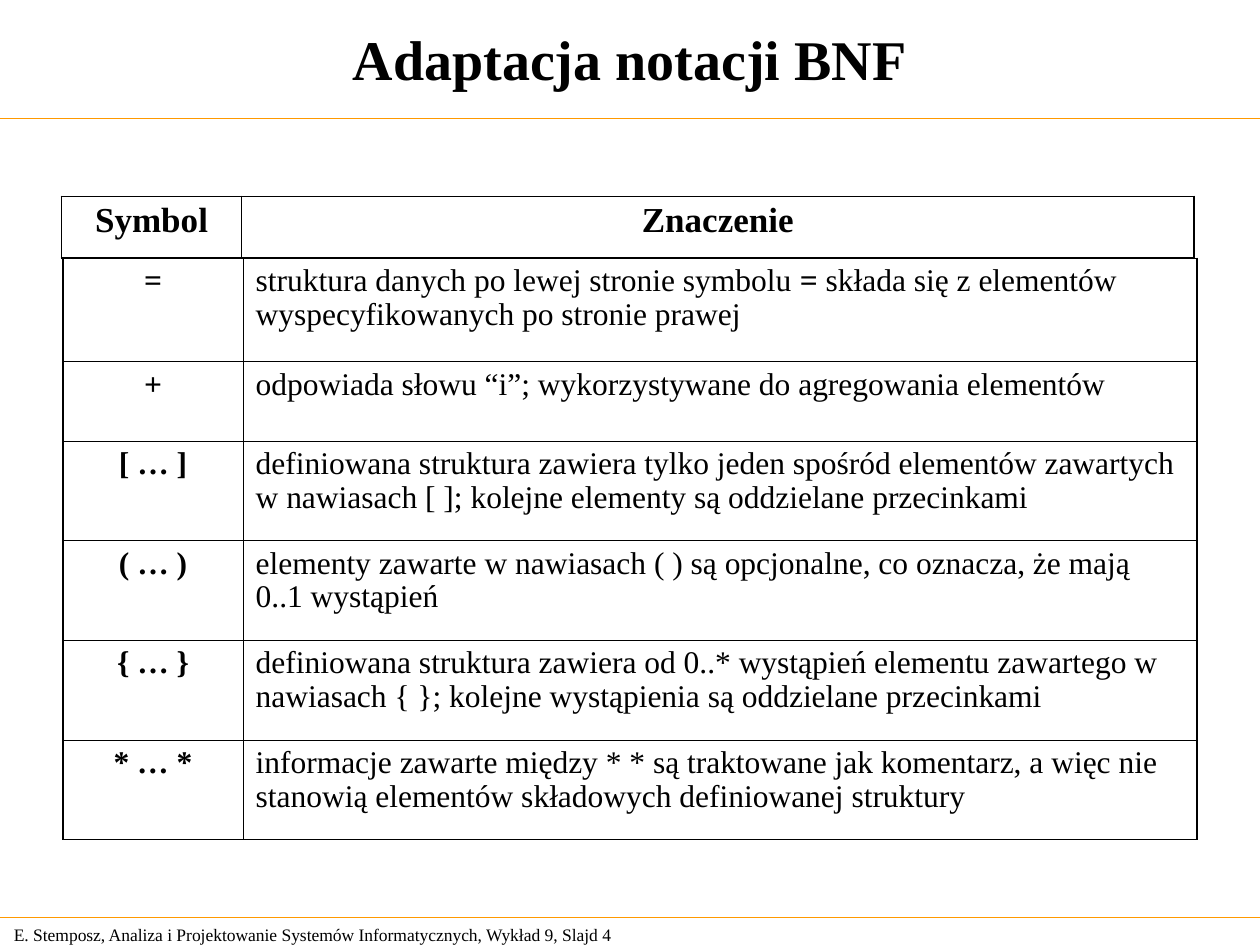
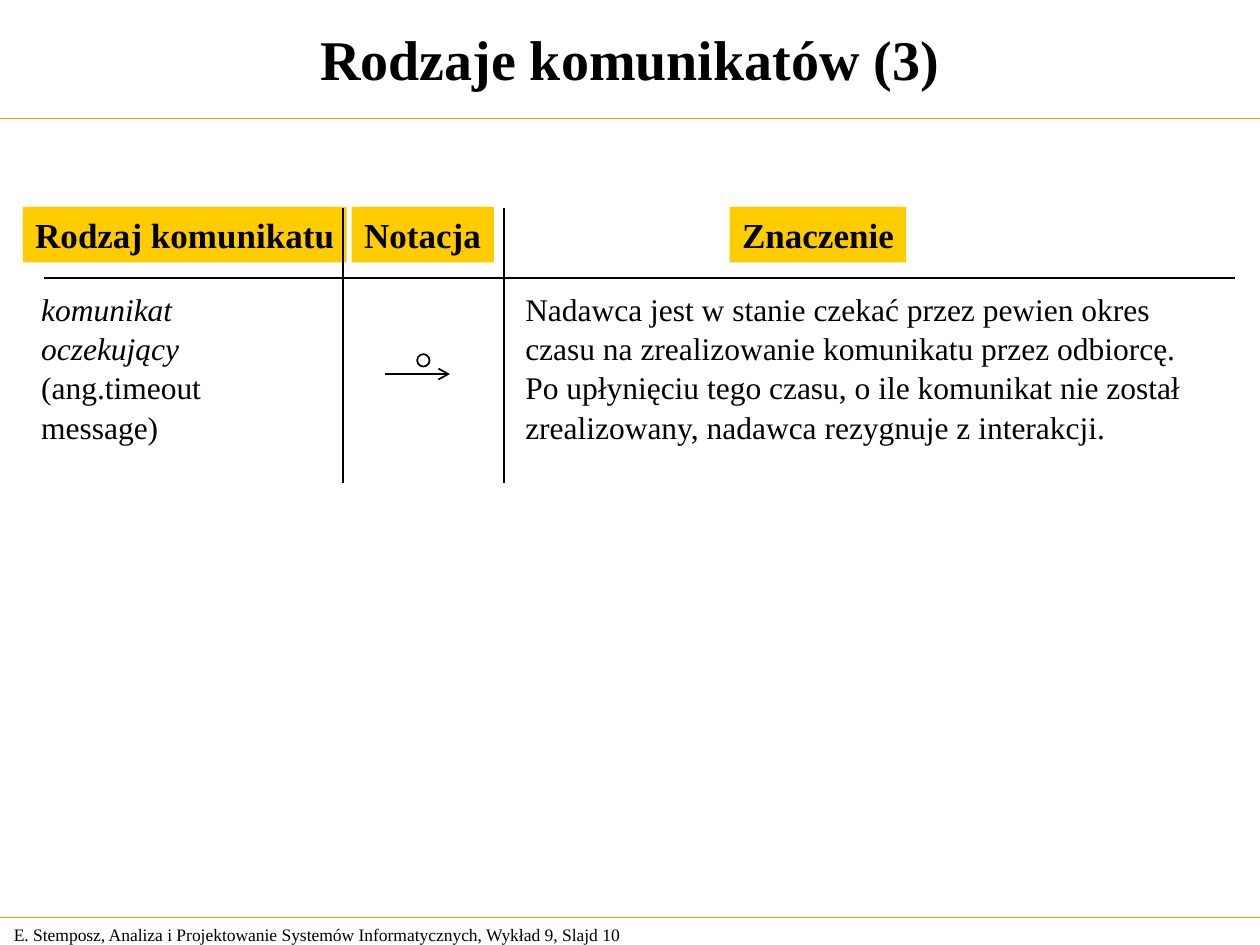
from dataclasses import dataclass

from lxml import etree
from pptx import Presentation
from pptx.dml.color import RGBColor
from pptx.enum.shapes import MSO_CONNECTOR, MSO_SHAPE
from pptx.enum.text import MSO_ANCHOR, PP_ALIGN
from pptx.oxml.ns import qn
from pptx.util import Cm, Pt

LINE = MSO_CONNECTOR.STRAIGHT
RECTANGLE = MSO_SHAPE.RECTANGLE
OVAL = MSO_SHAPE.OVAL
MIDDLE = MSO_ANCHOR.MIDDLE
TOP = MSO_ANCHOR.TOP
LEFT = PP_ALIGN.LEFT
CENTER = PP_ALIGN.CENTER


@dataclass(frozen=True)
class Theme:
    font: str = "Times New Roman"
    ink: RGBColor = RGBColor(0x00, 0x00, 0x00)
    paper: RGBColor = RGBColor(0xFF, 0xFF, 0xFF)
    band: RGBColor = RGBColor(0xFF, 0x99, 0x00)
    label: RGBColor = RGBColor(0xFF, 0xCC, 0x00)
    title: int = 32
    heading: int = 20
    body: int = 18
    footer: int = 10
    band_width: float = 0.75
    rule_width: float = 1
    frame_width: float = 1.08
    grid_width: float = 0.45
    table_spacing: float = 0.97
    body_spacing: float = 1.04


@dataclass(frozen=True)
class Box:
    left: float
    top: float
    width: float
    height: float

    def inner(self, left, top, width, height):
        return Box(self.left + left, self.top + top, width, height)

    def lengths(self):
        return [Cm(value) for value in (self.left, self.top, self.width, self.height)]


THEME = Theme()
PAGE = Box(0, 0, 25.4, 19.05)
FOOTER = "E. Stemposz, Analiza i Projektowanie Systemów Informatycznych, Wykład 9, Slajd {}"
BOLD = {"bold": True}
ITALIC = {"italic": True}
PLAIN = {}

NOTATION_HEADER = [("Symbol", [("Znaczenie", BOLD)])]
NOTATION = [
    ("=", [
        ("struktura danych po lewej stronie symbolu ", PLAIN),
        ("=", BOLD),
        (" składa się z elementów wyspecyfikowanych po stronie prawej", PLAIN),
    ]),
    ("+", [("odpowiada słowu “i”; wykorzystywane do agregowania elementów", PLAIN)]),
    ("[ … ]", [("definiowana struktura zawiera tylko jeden spośród elementów zawartych "
                "w nawiasach [ ]; kolejne elementy są oddzielane przecinkami", PLAIN)]),
    ("( … )", [("elementy zawarte w nawiasach ( ) są opcjonalne, co oznacza, że mają "
                "0..1 wystąpień", PLAIN)]),
    ("{ … }", [("definiowana struktura zawiera od 0..* wystąpień elementu zawartego w "
                "nawiasach { }; kolejne wystąpienia są oddzielane przecinkami", PLAIN)]),
    ("* … *", [("informacje zawarte między * * są traktowane jak komentarz, a więc nie "
                "stanowią elementów składowych definiowanej struktury", PLAIN)]),
]
MESSAGE_KIND = [
    [("komunikat", ITALIC)],
    [("oczekujący", ITALIC)],
    [("(ang.timeout", PLAIN)],
    [("message)", PLAIN)],
]
MESSAGE_MEANING = [[(
    "Nadawca jest w stanie czekać przez pewien okres czasu na zrealizowanie komunikatu "
    "przez odbiorcę. Po upłynięciu tego czasu, o ile komunikat nie został zrealizowany, "
    "nadawca rezygnuje z interakcji.", PLAIN)]]


def apply(target, values):
    for name, value in values.items():
        setattr(target, name, value)


def write(frame, paragraphs, size, align=LEFT, spacing=None):
    for index, runs in enumerate(paragraphs):
        paragraph = frame.add_paragraph() if index else frame.paragraphs[0]
        apply(paragraph, {"alignment": align, "line_spacing": spacing})
        for text, emphasis in runs:
            run = paragraph.add_run()
            run.text = text
            apply(run.font, {"name": THEME.font, "size": Pt(size), "bold": False, **emphasis})
            run.font.color.rgb = THEME.ink


def add_text(slide, box, paragraphs, size, align=LEFT, anchor=TOP, spacing=None):
    frame = slide.shapes.add_textbox(*box.lengths()).text_frame
    apply(frame, {"word_wrap": True, "vertical_anchor": anchor})
    write(frame, paragraphs, size, align, spacing)


def add_rule(shapes, box, color=THEME.ink, width=THEME.rule_width):
    left, top, across, down = box.lengths()
    rule = shapes.add_connector(LINE, left, top, left + across, top + down)
    rule.line.width = Pt(width)
    rule.line.color.rgb = color
    etree.SubElement(rule._element.spPr, qn("a:effectLst"))
    return rule


def add_frame(slide, box, title, number):
    for top in (2.39, 18.49):
        add_rule(slide.shapes, box.inner(0, top, box.width, 0), THEME.band, THEME.band_width)
    add_text(slide, box.inner(0, 0, box.width, 2.34), [[(title, BOLD)]],
             THEME.title, CENTER, MIDDLE)
    add_text(slide, box.inner(0.03, 18.49, 13.31, 0.69), [[(FOOTER.format(number), PLAIN)]],
             THEME.footer, anchor=MIDDLE)


def set_borders(cell, outer_sides):
    properties = cell._tc.get_or_add_tcPr()
    for index, (side, outer) in enumerate(outer_sides.items()):
        width = Pt(THEME.frame_width if outer else THEME.grid_width)
        border = etree.Element(qn(f"a:{side}"), w=str(width))
        fill = etree.SubElement(border, qn("a:solidFill"))
        etree.SubElement(fill, qn("a:srgbClr"), val=str(THEME.ink))
        properties.insert(index, border)


def add_notation_table(slide, box, rows, heights, size, meaning_align):
    table = slide.shapes.add_table(len(rows), 2, *box.lengths()).table
    apply(table, {"first_row": False, "horz_banding": False})
    symbol_width = 3.63
    for column, width in zip(table.columns, (symbol_width, box.width - symbol_width)):
        column.width = Cm(width)
    for row_index, (symbol, meaning) in enumerate(rows):
        table.rows[row_index].height = Cm(heights[row_index])
        contents = (([(symbol, BOLD)], CENTER), (meaning, meaning_align))
        for column_index, (runs, align) in enumerate(contents):
            cell = table.cell(row_index, column_index)
            cell.fill.background()
            write(cell.text_frame, [runs], size, align, THEME.table_spacing)
            set_borders(cell, {
                "lnL": column_index == 0,
                "lnR": column_index == 1,
                "lnT": row_index == 0,
                "lnB": row_index == len(rows) - 1,
            })


def add_label(slide, box, text):
    label = slide.shapes.add_shape(RECTANGLE, *box.lengths())
    label.shadow.inherit = False
    label.fill.solid()
    label.fill.fore_color.rgb = THEME.label
    label.line.fill.background()
    apply(label.text_frame, {"word_wrap": False, "vertical_anchor": TOP})
    write(label.text_frame, [[(text, BOLD)]], THEME.heading)


def add_timeout_symbol(slide, box):
    symbol = slide.shapes.add_group_shape().shapes
    arrow = add_rule(symbol, box.inner(0, box.height, box.width, 0))
    etree.SubElement(arrow.line._get_or_add_ln(), qn("a:tailEnd"), type="arrow")
    clock = symbol.add_shape(OVAL, *box.inner(0.64, 0, 0.25, 0.25).lengths())
    clock.shadow.inherit = False
    clock.fill.solid()
    clock.fill.fore_color.rgb = THEME.paper
    clock.line.color.rgb = THEME.ink
    clock.line.width = Pt(THEME.rule_width)


def add_message_overview(slide, box):
    headings = (("Rodzaj komunikatu", 0, 6.53), ("Notacja", 6.63, 2.87),
                ("Znaczenie", 14.25, 3.56))
    for text, left, width in headings:
        add_label(slide, box.inner(left, 0, width, 1.12), text)
    for left in (6.45, 9.7):
        add_rule(slide.shapes, box.inner(left, 0.02, 0, box.height - 0.02))
    add_rule(slide.shapes, box.inner(0.43, 1.44, box.width - 0.43, 0))
    for paragraphs, left, width in ((MESSAGE_KIND, 0.12, 5.31), (MESSAGE_MEANING, 9.88, 14.3)):
        add_text(slide, box.inner(left, 1.52, width, 3.3), paragraphs, THEME.body,
                 spacing=THEME.body_spacing)
    add_timeout_symbol(slide, box.inner(7.31, 2.97, 1.3, 0.4))


def add_notation_slide(slide, box):
    add_frame(slide, box, "Adaptacja notacji BNF", 4)
    heights = [2.08, 1.6] + [2.01] * 4
    add_notation_table(slide, box.inner(1.27, 5.21, 22.86, sum(heights)), NOTATION,
                       heights, THEME.body, LEFT)
    add_notation_table(slide, box.inner(1.24, 3.96, 22.83, 1.24), NOTATION_HEADER,
                       [1.24], THEME.heading, CENTER)


def add_message_slide(slide, box):
    add_frame(slide, box, "Rodzaje komunikatów (3)", 10)
    add_message_overview(slide, box.inner(0.46, 4.17, 24.43, 5.56))


def main():
    deck = Presentation()
    apply(deck, {"slide_width": Cm(PAGE.width), "slide_height": Cm(PAGE.height)})
    blank = deck.slide_layouts[6]
    for build in (add_notation_slide, add_message_slide):
        build(deck.slides.add_slide(blank), PAGE)
    deck.save("out.pptx")


if __name__ == "__main__":
    main()
